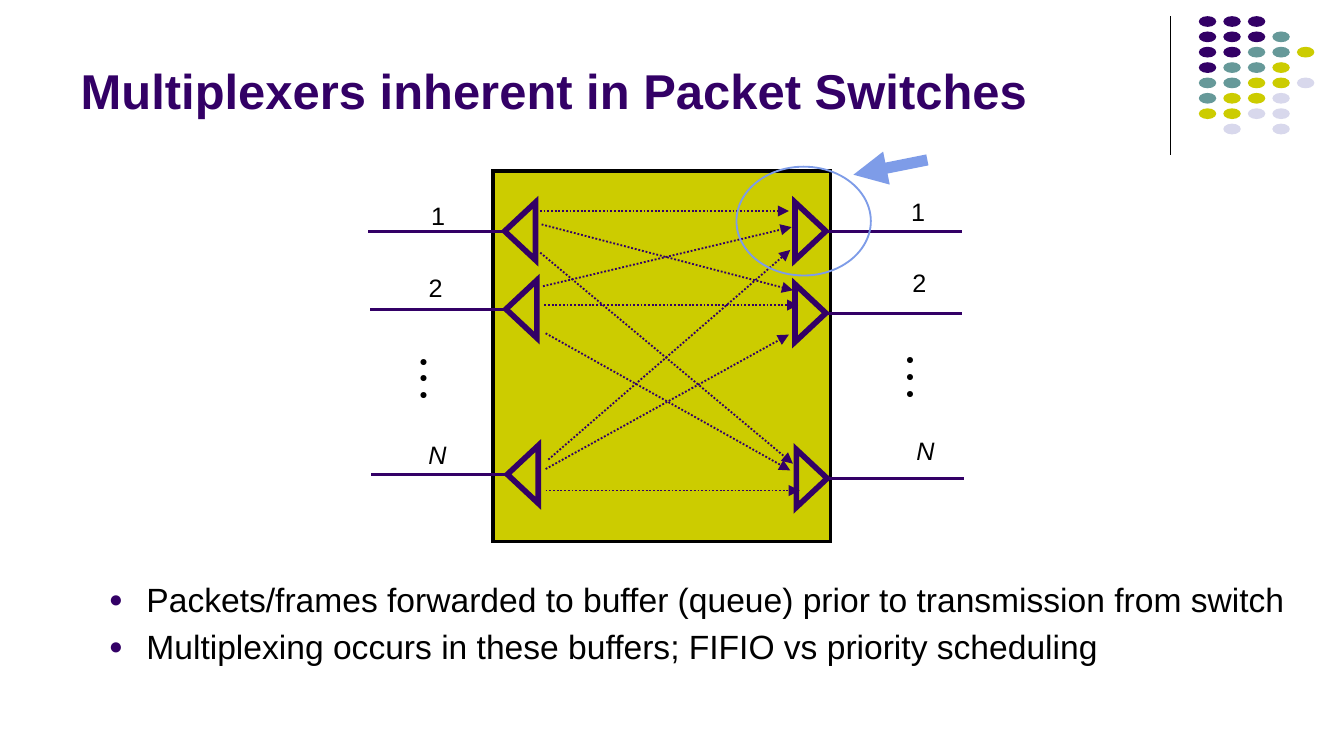
"""Build a slide on the multiplexers inside a packet switch."""
from dataclasses import dataclass

from lxml.etree import SubElement
from pptx import Presentation
from pptx.dml.color import RGBColor
from pptx.enum.dml import MSO_LINE
from pptx.enum.shapes import MSO_CONNECTOR, MSO_SHAPE as Shape
from pptx.enum.text import MSO_ANCHOR as Anchor, MSO_AUTO_SIZE as Fit, PP_ALIGN
from pptx.oxml.ns import qn
from pptx.util import Inches, Pt


@dataclass(frozen=True)
class Theme:
    font: str = "Arial"
    purple: RGBColor = RGBColor(0x33, 0x00, 0x66)
    teal: RGBColor = RGBColor(0x66, 0x99, 0x99)
    olive: RGBColor = RGBColor(0xCC, 0xCC, 0x00)
    lavender: RGBColor = RGBColor(0xD8, 0xD8, 0xEC)
    blue: RGBColor = RGBColor(0x7E, 0x9C, 0xE8)
    black: RGBColor = RGBColor(0x00, 0x00, 0x00)
    title: Pt = Pt(26.25)
    body: Pt = Pt(18)
    label: Pt = Pt(13.5)
    dots: Pt = Pt(7.5)


theme = Theme()
deck = Presentation()
deck.slide_width, deck.slide_height = Inches(10), Inches(10 * 9 / 16)
slide = deck.slides.add_slide(deck.slide_layouts[1])
shapes = slide.shapes


def draw(kind, box, fill=None, line=None, weight=1, turn=0):
    part = shapes.add_shape(kind, *map(Inches, box))
    part.shadow.inherit = False
    part.rotation = turn
    for paint, color in ((part.fill, fill), (part.line.fill, line)):
        if color is None:
            paint.background()
        else:
            paint.solid()
            paint.fore_color.rgb = color
    if line is not None:
        part.line.width = Pt(weight)
        SubElement(part.line._get_or_add_ln(), qn("a:miter"), lim="800000")


def connect(start, end, color, weight, dash=None, arrow=False):
    link = shapes.add_connector(MSO_CONNECTOR.STRAIGHT, *map(Inches, (*start, *end)))
    SubElement(link._element.spPr, qn("a:effectLst"))
    link.line.color.rgb = color
    link.line.width = Pt(weight)
    if dash is not None:
        link.line.dash_style = dash
    if arrow:
        SubElement(link.line._get_or_add_ln(), qn("a:tailEnd"), type="triangle")


connect((8.71, 0.12), (8.71, 1.15), theme.black, 0.75)
palette = {"P": theme.purple, "T": theme.teal, "Y": theme.olive, "L": theme.lavender}
dot_rows = ("PPP", "PPPT", "PPTTY", "PTTY", "TTYYL", "TYYL", "YYLL", " L L")
for row, codes in enumerate(dot_rows):
    for column, code in enumerate(codes):
        if code in palette:
            dot = (8.92 + column * 0.73 / 4, 0.12 + row * 0.8 / 7, 0.13, 0.08)
            draw(Shape.OVAL, dot, palette[code])

draw(Shape.RECTANGLE, (3.67, 1.27, 2.51, 2.76), theme.olive, theme.black, 2)

ports = (
    (3.77, 1.72, -1), (3.78, 2.3, -1), (3.79, 3.53, -1),
    (6.13, 1.72, 1), (6.13, 2.33, 1), (6.14, 3.56, 1),
)
base, depth = 0.43, 0.23
for tip, level, side in ports:
    connect((tip, level), (tip + side * 1.03, level), theme.purple, 1.5)
    mux = (tip - side * 0.1 - base / 2, level - depth / 2, base, depth)
    draw(Shape.ISOSCELES_TRIANGLE, mux, theme.olive, theme.purple, 3, side * 90 % 360)

routes = (
    ((3.99, 1.57), (5.87, 1.57)), ((4.03, 1.67), (5.9, 2.16)), ((4.02, 1.88), (5.9, 3.45)),
    ((4.04, 2.13), (5.89, 1.69)), ((4.05, 2.27), (5.94, 2.27)), ((4.06, 2.48), (5.88, 3.5)),
    ((4.08, 3.42), (5.88, 1.86)), ((4.06, 3.49), (5.87, 2.49)), ((4.06, 3.65), (5.95, 3.65)),
)
for start, end in routes:
    connect(start, end, theme.purple, 1, MSO_LINE.ROUND_DOT, True)

draw(Shape.OVAL, (5.48, 1.24, 1, 0.81), line=theme.blue)
connect((6.9, 1.19), (6.35, 1.3), theme.blue, 6, arrow=True)

label_frame = {"word_wrap": False, "auto_size": Fit.SHAPE_TO_FIT_TEXT}
dots_frame = {
    **label_frame,
    "margin_left": Inches(0.07), "margin_right": Inches(0.07),
    "margin_top": Inches(0.04), "margin_bottom": Inches(0.04),
}
fixed_frame = {"word_wrap": True, "auto_size": Fit.NONE}
title_frame = {**fixed_frame, "vertical_anchor": Anchor.BOTTOM}
body_frame = {**fixed_frame, "vertical_anchor": Anchor.TOP}
label_font = {"size": theme.label}
index_font = {**label_font, "italic": True}
dots_font = {"size": theme.dots}
title_font = {"size": theme.title, "bold": True}
points = (
    "Packets/frames forwarded to buffer (queue) prior to transmission from switch",
    "Multiplexing occurs in these buffers; FIFIO vs priority scheduling",
)
ellipsis = ("●",) * 3
texts = (
    (None, (3.11, 1.44, 0.31, 0.33), ("1",), label_font, label_frame),
    (None, (3.09, 1.98, 0.31, 0.33), ("2",), label_font, label_frame),
    (None, (3.09, 3.22, 0.34, 0.33), ("N",), index_font, label_frame),
    (None, (6.68, 1.41, 0.31, 0.33), ("1",), label_font, label_frame),
    (None, (6.69, 1.94, 0.31, 0.33), ("2",), label_font, label_frame),
    (None, (6.72, 3.19, 0.34, 0.33), ("N",), index_font, label_frame),
    (None, (6.67, 2.57, 0.23, 0.45), ellipsis, dots_font, dots_frame),
    (None, (3.05, 2.58, 0.23, 0.45), ellipsis, dots_font, dots_frame),
    (shapes.title, (0.5, 0.1, 8.25, 0.84),
     ("Multiplexers inherent in Packet Switches",), title_font, title_frame),
    (slide.placeholders[1], (0.71, 4.26, 9.05, 0.9), points, {"size": theme.body}, body_frame),
)
for holder, box, lines, font_format, frame_format in texts:
    left, top, width, height = map(Inches, box)
    holder = holder or shapes.add_textbox(left, top, width, height)
    place = {"left": left, "top": top, "width": width, "height": height}
    for name, value in place.items():
        setattr(holder, name, value)
    frame = holder.text_frame
    for name, value in frame_format.items():
        setattr(frame, name, value)
    for number, words in enumerate(lines):
        paragraph = frame.add_paragraph() if number else frame.paragraphs[0]
        paragraph.alignment = PP_ALIGN.LEFT
        paragraph.space_before = Pt(3.6 if number and lines is points else 0)
        if lines is points:
            layout = paragraph._p.get_or_add_pPr()
            layout.set("marL", str(Inches(0.28)))
            layout.set("indent", str(-Inches(0.28)))
            tint = SubElement(layout, qn("a:buClr"))
            SubElement(tint, qn("a:srgbClr"), val=str(theme.purple))
            SubElement(layout, qn("a:buSzPct"), val="70000")
            SubElement(layout, qn("a:buFont"), typeface=theme.font)
            SubElement(layout, qn("a:buChar"), char="●")
        run = paragraph.add_run()
        run.text = words
        for name, value in {"name": theme.font, **font_format}.items():
            setattr(run.font, name, value)
        run.font.color.rgb = theme.purple if holder == shapes.title else theme.black

deck.save("out.pptx")
